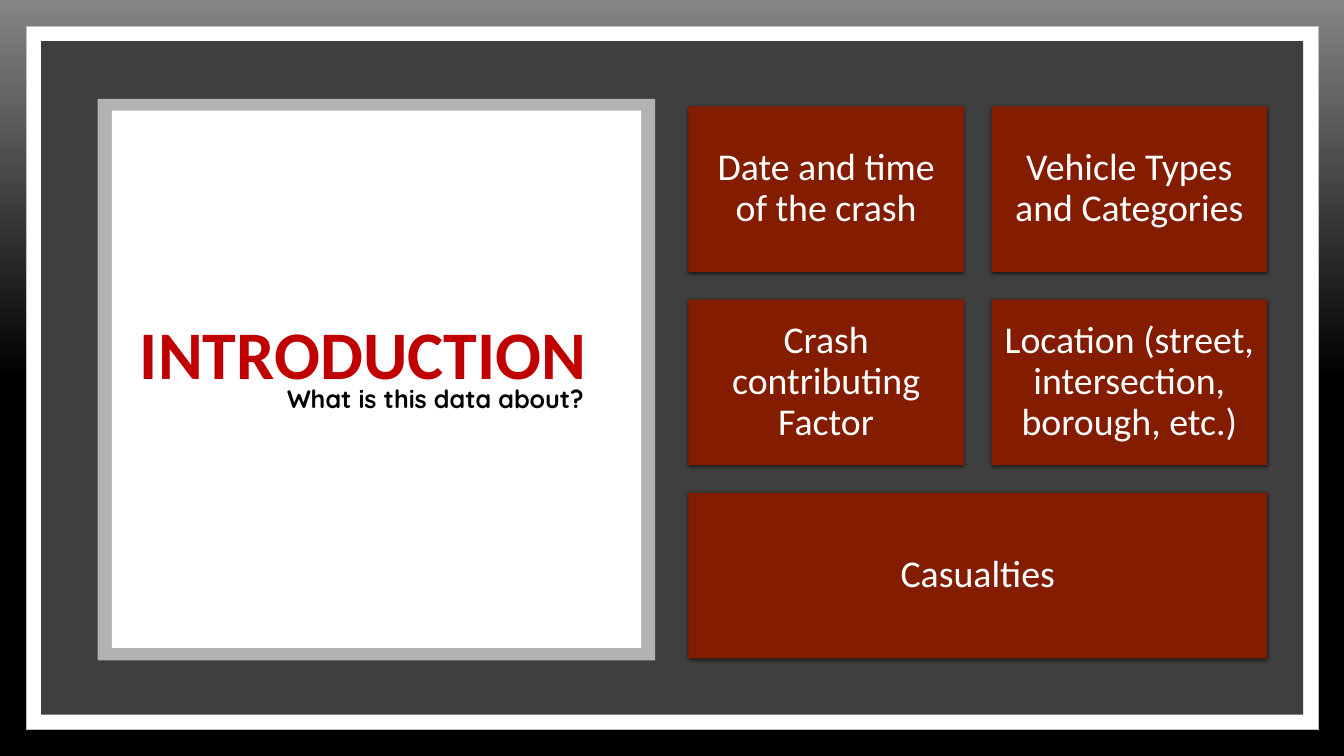
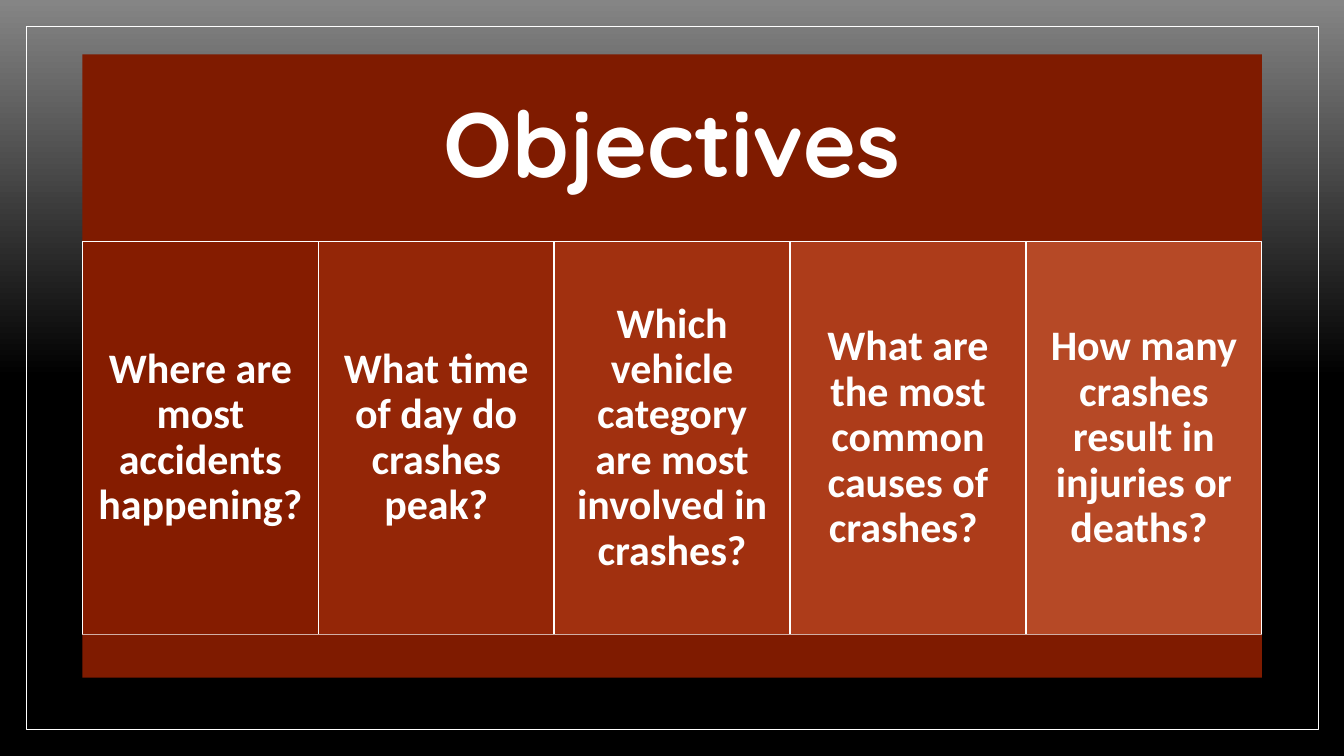
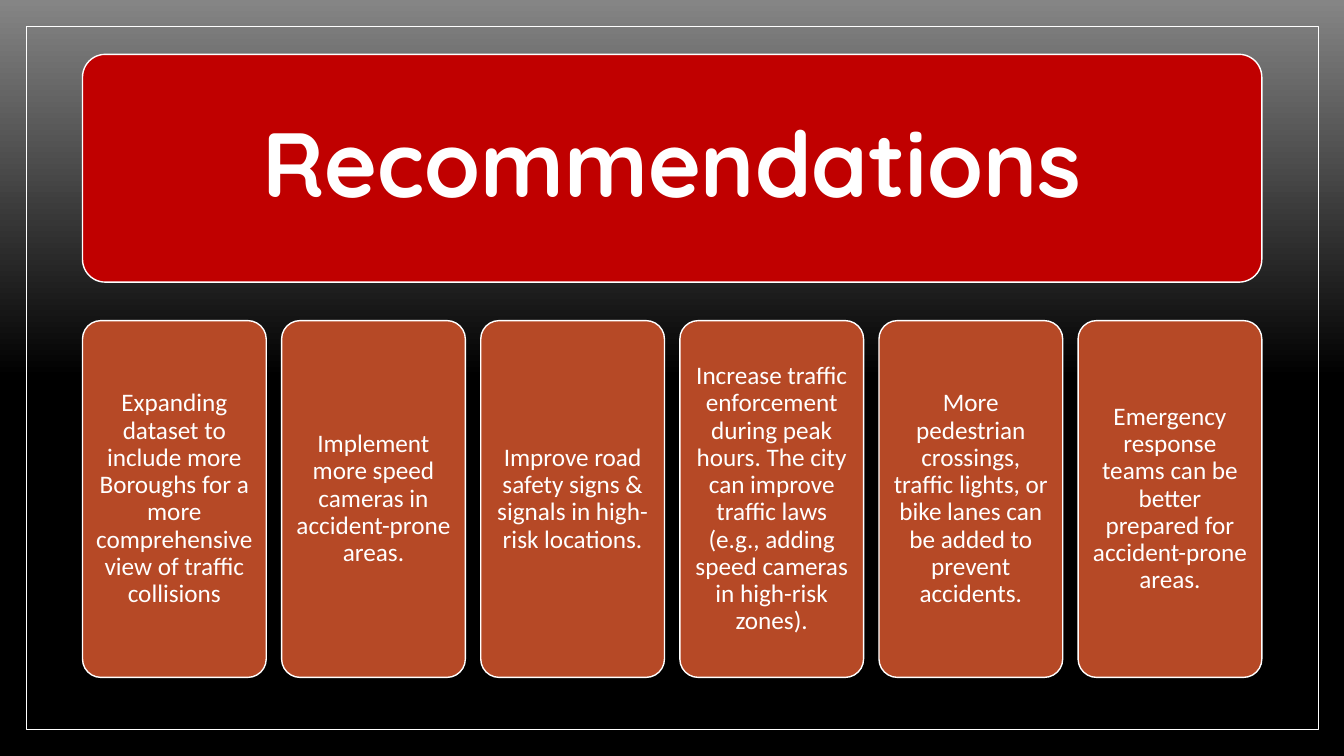
from lxml.etree import SubElement
from pptx import Presentation
from pptx.dml.color import RGBColor
from pptx.enum.shapes import MSO_SHAPE as Preset
from pptx.enum.text import MSO_ANCHOR as Anchor, MSO_AUTO_SIZE as AutoSize, PP_ALIGN as Align
from pptx.oxml.ns import qn
from pptx.util import Cm, Pt

COLORS = {
    "white": "FFFFFF", "black": "000000", "smoke": "858585", "charcoal": "3F3F3F",
    "silver": "B2B2B2", "edge": "BFBFBF", "red": "C00000", "brick": "841C00",
    "panel": "7F1B00", "rust": "B64926",
}
COLUMN_FILLS = ["851C00", "942607", "A1300F", "AD3C1A", "B64926"]
TEXT_FONT, DISPLAY_FONT = "Calibri", "Quicksand"

TOPICS = [
    "Date and time of the crash",
    "Vehicle Types and Categories",
    "Crash contributing Factor",
    "Location (street, intersection, borough, etc.)",
]
WIDE_TOPIC = "Casualties"
OBJECTIVES = [
    "Where are most accidents happening?",
    "What time of day do crashes peak?",
    "Which vehicle category are most involved in crashes?",
    "What are the most common causes of crashes? ",
    "How many crashes result in injuries or deaths? ",
]
RECOMMENDATIONS = [
    "Expanding dataset to include more Boroughs for a more comprehensive view of traffic collisions",
    "Implement more speed cameras in accident-prone areas.",
    "Improve road safety signs & signals in high-risk locations.",
    "Increase traffic enforcement during peak hours. The city can improve traffic laws "
    "(e.g., adding speed cameras in high-risk zones).",
    "More pedestrian crossings, traffic lights, or bike lanes can be added to prevent accidents.",
    "Emergency response teams can be better prepared for accident-prone areas.",
]

# All boxes are (left, top, width, height) in centimetres.
FRAME = (0.66, 0.66, 32.56, 17.73)
CONTENT_LEFT, CONTENT_TOP, CONTENT_WIDTH = 2.08, 1.37, 29.72


def rgb(color):
    return RGBColor.from_string(COLORS.get(color, color))


def write(shape, text, size, color="white", font=TEXT_FONT, bold=False,
          align=Align.CENTER, inset=0.25, spacing=0.9):
    frame = shape.text_frame
    frame.word_wrap = True
    frame.auto_size = AutoSize.NONE
    frame.vertical_anchor = Anchor.MIDDLE
    frame.margin_left = frame.margin_right = Cm(inset)
    frame.margin_top = frame.margin_bottom = Cm(min(inset, 0.3))
    paragraph = frame.paragraphs[0]
    paragraph.alignment = align
    paragraph.line_spacing = spacing
    run = paragraph.add_run()
    run.text = text
    run.font.name, run.font.size, run.font.bold = font, Pt(size), bold
    run.font.color.rgb = rgb(color)


def add_box(slide, box, fill=None, line=None, line_width=1, preset=Preset.RECTANGLE):
    shape = slide.shapes.add_shape(preset, *map(Cm, box))
    shape.shadow.inherit = False
    if fill:
        shape.fill.solid()
        shape.fill.fore_color.rgb = rgb(fill)
    else:
        shape.fill.background()
    if line:
        shape.line.color.rgb = rgb(line)
        shape.line.width = Pt(line_width)
    else:
        shape.line.fill.background()
    if preset == Preset.ROUNDED_RECTANGLE:
        shape.adjustments[0] = 0.1
    return shape


def add_shadow(shape):
    effects = shape._element.spPr.find(qn("a:effectLst"))
    shadow = SubElement(effects, qn("a:outerShdw"), blurRad=str(Pt(3)), dist=str(Pt(1)),
                        dir="5400000", algn="ctr", rotWithShape="0")
    color = SubElement(shadow, qn("a:srgbClr"), val=COLORS["black"])
    SubElement(color, qn("a:alpha"), val="63000")


def place_title(slide, box, text, size, **style):
    """Move the title placeholder to the front and fill it."""
    title = slide.shapes.title
    title.left, title.top, title.width, title.height = map(Cm, box)
    title._element.getparent().append(title._element)
    write(title, text, size, bold=True, **style)


def set_background(master):
    fill = master.background.fill
    fill.gradient()
    fill.gradient_angle = 270
    for stop, color, position in zip(fill.gradient_stops, ("smoke", "black"), (0, 0.5)):
        stop.color.rgb = rgb(color)
        stop.position = position


def add_slide(presentation):
    return presentation.slides.add_slide(presentation.slide_layouts.get_by_name("Title Only"))


def add_banner_slide(presentation, title, height, fill, **style):
    slide = add_slide(presentation)
    add_box(slide, FRAME, line="white", line_width=0.5)
    banner = (CONTENT_LEFT, CONTENT_TOP, CONTENT_WIDTH, height)
    add_box(slide, banner, fill, **style)
    place_title(slide, banner, title, 65, font=DISPLAY_FONT)
    return slide


def build_introduction(presentation):
    slide = add_slide(presentation)
    add_box(slide, FRAME, "white", "edge", 0.5)
    add_box(slide, (1.04, 1.04, 31.8, 16.97), "charcoal")
    add_box(slide, (2.46, 2.49, 14.05, 14.15), "silver")
    add_box(slide, (2.82, 2.79, 13.34, 13.54), "white")

    left, top, width, height, gap = 17.35, 2.68, 6.94, 4.17, 0.7
    tiles = [
        (topic, (left + index % 2 * (width + gap), top + index // 2 * (height + gap), width, height))
        for index, topic in enumerate(TOPICS)
    ]
    tiles.append((WIDE_TOPIC, (left, top + 2 * (height + gap), 2 * width + gap, height)))
    for topic, box in tiles:
        tile = add_box(slide, box, "brick")
        add_shadow(tile)
        write(tile, topic, 27, inset=0.28)

    place_title(slide, (2.97, 7.11, 12.37, 3.81), "INTRODUCTION", 48.6, color="red")
    subtitle = slide.shapes.add_textbox(*map(Cm, (3.3, 9.53, 11.66, 1.02)))
    write(subtitle, "What is this data about?", 18, "black", DISPLAY_FONT, True,
          Align.RIGHT, spacing=1)


def build_objectives(presentation):
    banner_height, column_height = 4.72, 9.9
    slide = add_banner_slide(presentation, "Objectives", banner_height, "panel")
    top = CONTENT_TOP + banner_height
    width = CONTENT_WIDTH / len(OBJECTIVES)
    for index, (objective, fill) in enumerate(zip(OBJECTIVES, COLUMN_FILLS)):
        column = add_box(slide, (CONTENT_LEFT + index * width, top, width, column_height),
                         fill, "white")
        write(column, objective, 30, bold=True, inset=0.3)
    add_box(slide, (CONTENT_LEFT, top + column_height, CONTENT_WIDTH, 1.09), "panel")


def build_recommendations(presentation):
    rounded = {"line": "white", "preset": Preset.ROUNDED_RECTANGLE}
    slide = add_banner_slide(presentation, "Recommendations", 5.74, "red", **rounded)
    width = 4.63
    pitch = (CONTENT_WIDTH - width) / (len(RECOMMENDATIONS) - 1)
    for index, recommendation in enumerate(RECOMMENDATIONS):
        card = add_box(slide, (CONTENT_LEFT + index * pitch, 8.08, width, 8.99), "rust", **rounded)
        write(card, recommendation, 18, inset=0.18)


def main():
    presentation = Presentation()
    presentation.slide_width, presentation.slide_height = Cm(33.87), Cm(19.05)
    set_background(presentation.slide_master)
    build_introduction(presentation)
    build_objectives(presentation)
    build_recommendations(presentation)
    presentation.save("out.pptx")


if __name__ == "__main__":
    main()
